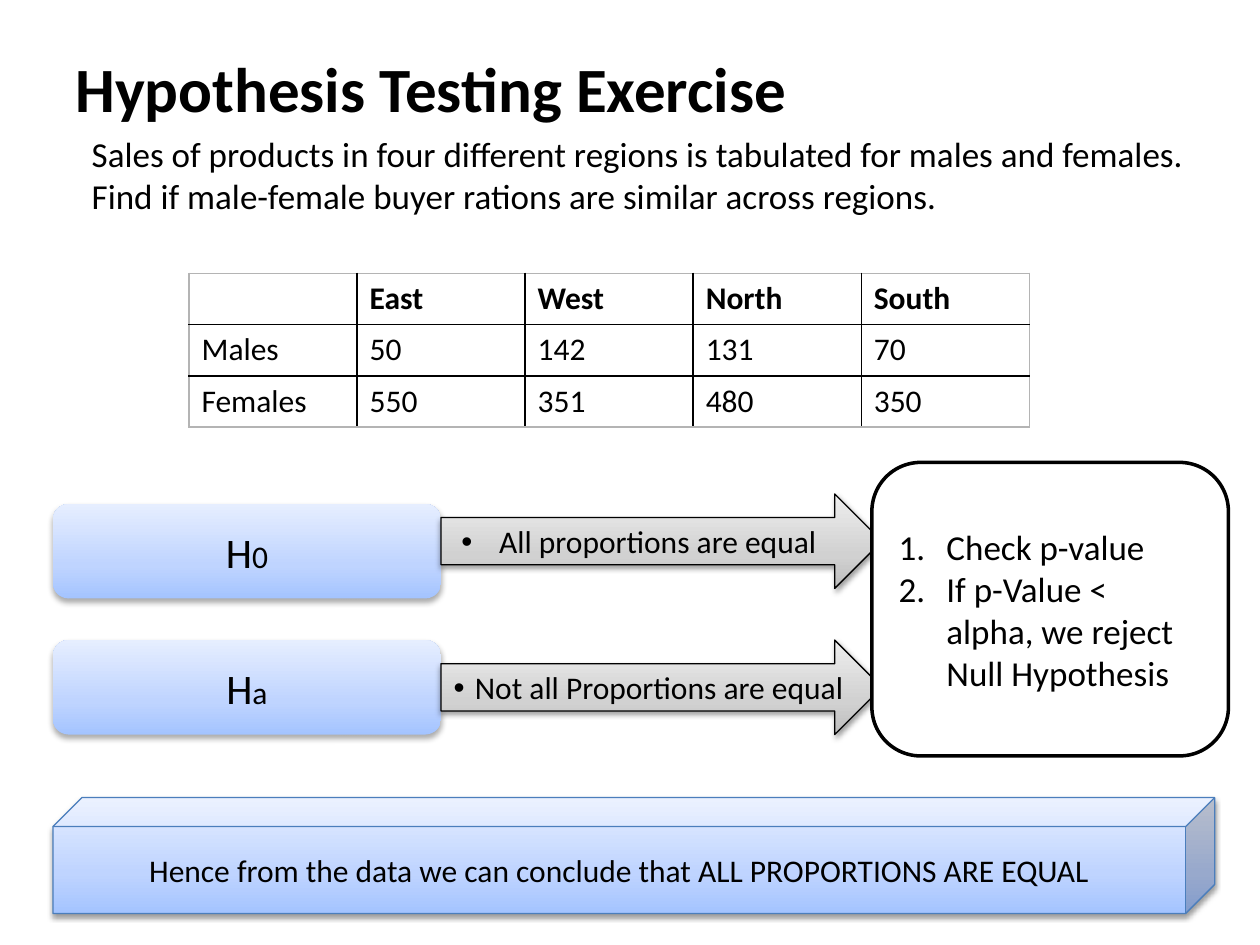
from lxml.etree import SubElement
from pptx import Presentation
from pptx.dml.color import RGBColor
from pptx.enum.shapes import MSO_SHAPE
from pptx.enum.text import MSO_ANCHOR, PP_ALIGN
from pptx.oxml.ns import qn
from pptx.util import Inches, Pt

BLACK = RGBColor(0x00, 0x00, 0x00)
WHITE = RGBColor(0xFF, 0xFF, 0xFF)
EDGE_GRAY = RGBColor(0xB4, 0xB4, 0xB4)
CUBE_LINE = RGBColor(0x4B, 0x7E, 0xBC)
BLUES = (RGBColor(0xA4, 0xC4, 0xFF), RGBColor(0xBF, 0xD4, 0xFF), RGBColor(0xE6, 0xEE, 0xFF))
GRAYS = (RGBColor(0xBD, 0xBD, 0xBD), RGBColor(0xD1, 0xD1, 0xD1), RGBColor(0xEE, 0xEE, 0xEE))
STOPS = (0, 35, 100)
SOFT_SHADOW = (32, 3.5, 2.2)
LINE_SHADOW = (38, 3.1, 1.6)

SALES = [
    ("", "East", "West", "North", "South"),
    ("Males", "50", "142", "131", "70"),
    ("Females", "550", "351", "480", "350"),
]


def add_run(p, text, size, bold=False):
    """Add one black Calibri run."""
    r = p.add_run()
    r.text = text
    r.font.name = "Calibri"
    r.font.size = Pt(size)
    r.font.bold = bold
    r.font.color.rgb = BLACK


def add_color(parent, color):
    """Add an RGB colour element and return it."""
    return SubElement(parent, qn("a:srgbClr"), val=str(color))


def add_bullet(p, hang, char=None):
    """Give a paragraph a hanging bullet, or a number if no char is given."""
    pPr = p._p.get_or_add_pPr()
    pPr.set("marL", str(Inches(hang)))
    pPr.set("indent", str(-Inches(hang)))
    if char:
        SubElement(pPr, qn("a:buFont"), typeface="Arial")
        SubElement(pPr, qn("a:buChar"), char=char)
    else:
        SubElement(pPr, qn("a:buFont"), typeface="+mj-lt")
        SubElement(pPr, qn("a:buAutoNum"), type="arabicPeriod")


def add_text(s, box, text, size, bold=False, anchor=MSO_ANCHOR.TOP):
    """Add a wrapped text box."""
    tf = s.shapes.add_textbox(*map(Inches, box)).text_frame
    tf.word_wrap = True
    tf.vertical_anchor = anchor
    add_run(tf.paragraphs[0], text, size, bold)


def fill_gradient(sp, colors):
    """Fill a shape with an upward three-stop gradient."""
    sp.fill.gradient()
    sp.fill.gradient_angle = 90
    stops = sp._element.spPr.find(qn("a:gradFill")).find(qn("a:gsLst"))
    for old in list(stops):
        stops.remove(old)
    for pos, color in zip(STOPS, colors):
        add_color(SubElement(stops, qn("a:gs"), pos=str(pos * 1000)), color)


def add_shadow(sp, alpha, blur, dist):
    """Drop a black shadow straight down."""
    effects = sp._element.spPr.find(qn("a:effectLst"))
    shadow = SubElement(effects, qn("a:outerShdw"), blurRad=str(Pt(blur)),
                        dist=str(Pt(dist)), dir="5400000", rotWithShape="0")
    SubElement(add_color(shadow, BLACK), qn("a:alpha"), val=str(alpha * 1000))


def add_block(s, kind, box, colors=None, line=None, width=0.75, shadow=None):
    """Add a preset shape; it is white unless gradient colours are given."""
    sp = s.shapes.add_shape(kind, *map(Inches, box))
    sp.shadow.inherit = False
    if colors:
        fill_gradient(sp, colors)
    else:
        sp.fill.solid()
        sp.fill.fore_color.rgb = WHITE
    if line is None:
        sp.line.fill.background()
    else:
        sp.line.color.rgb = line
        sp.line.width = Pt(width)
    if shadow:
        add_shadow(sp, *shadow)
    tf = sp.text_frame
    tf.word_wrap = True
    tf.vertical_anchor = MSO_ANCHOR.MIDDLE
    tf.paragraphs[0].alignment = PP_ALIGN.CENTER
    return tf


def add_hypothesis(s, top, mark):
    """Add a hypothesis box: a large H and a smaller mark."""
    tf = add_block(s, MSO_SHAPE.ROUNDED_RECTANGLE, (0.42, top, 3.08, 0.75),
                   BLUES, shadow=SOFT_SHADOW)
    add_run(tf.paragraphs[0], "H", 24)
    add_run(tf.paragraphs[0], mark, 18)


def add_claim(s, top, text, hang, right):
    """Add an arrow with a bulleted claim."""
    tf = add_block(s, MSO_SHAPE.RIGHT_ARROW, (3.5, top, 3.5, 0.75),
                   GRAYS, BLACK, shadow=LINE_SHADOW)
    tf.margin_left, tf.margin_right = Inches(0.08), Inches(right)
    p = tf.paragraphs[0]
    add_bullet(p, hang, "•")
    add_run(p, text, 18)


def add_steps(s, steps):
    """Add the outlined box with the numbered steps."""
    tf = add_block(s, MSO_SHAPE.ROUNDED_RECTANGLE, (6.92, 3.67, 2.83, 2.33),
                   line=BLACK, width=2)
    for i, step in enumerate(steps):
        p = tf.add_paragraph() if i else tf.paragraphs[0]
        p.alignment = PP_ALIGN.LEFT
        add_bullet(p, 0.38)
        add_run(p, step, 20)


def set_borders(cell, outer):
    """Draw the four cell borders, gray on the sides named in outer."""
    tcPr = cell._tc.get_or_add_tcPr()
    for side in "LRTB":
        ln = SubElement(tcPr, qn(f"a:ln{side}"), w=str(Pt(1)))
        color = EDGE_GRAY if side in outer else BLACK
        add_color(SubElement(ln, qn("a:solidFill")), color)


def add_sales_table(s, rows):
    """Add the table of buyers by region."""
    last_row, last_col = len(rows) - 1, len(rows[0]) - 1
    table = s.shapes.add_table(len(rows), len(rows[0]), Inches(1.5), Inches(2.17),
                               Inches(6.67), Inches(1.22)).table
    table.first_row = table.horz_banding = False
    for i, row in enumerate(rows):
        for j, text in enumerate(row):
            cell = table.cell(i, j)
            edges = (("L", j == 0), ("R", j == last_col), ("T", i == 0), ("B", i == last_row))
            set_borders(cell, [side for side, on in edges if on])
            cell.fill.background()
            add_run(cell.text_frame.paragraphs[0], text, 18, bold=i == 0)


def main():
    """Build the slide."""
    prs = Presentation()
    prs.slide_width, prs.slide_height = Inches(10), Inches(7.5)
    s = prs.slides.add_slide(prs.slide_layouts[6])
    add_text(s, (0.5, 0.3, 9, 0.78), "Hypothesis Testing Exercise", 36, True, MSO_ANCHOR.MIDDLE)
    add_text(s, (0.63, 1, 9.2, 0.8),
             "Sales of products in four different regions is tabulated for males and females. "
             "Find if male-female buyer rations are similar across regions.", 20)
    add_sales_table(s, SALES)
    add_hypothesis(s, 4, "0")
    add_hypothesis(s, 5.08, "a")
    add_claim(s, 3.92, "All proportions are equal", 0.3, 0.25)
    add_claim(s, 5.08, "Not all Proportions are equal", 0.17, 0.1)
    add_steps(s, ["Check p-value", "If p-Value < alpha, we reject Null Hypothesis"])
    tf = add_block(s, MSO_SHAPE.CUBE, (0.42, 6.33, 9.22, 0.92), BLUES, CUBE_LINE,
                   shadow=LINE_SHADOW)
    add_run(tf.paragraphs[0],
            "Hence from the data we can conclude that ALL PROPORTIONS ARE EQUAL", 18)
    prs.save("out.pptx")


main()
